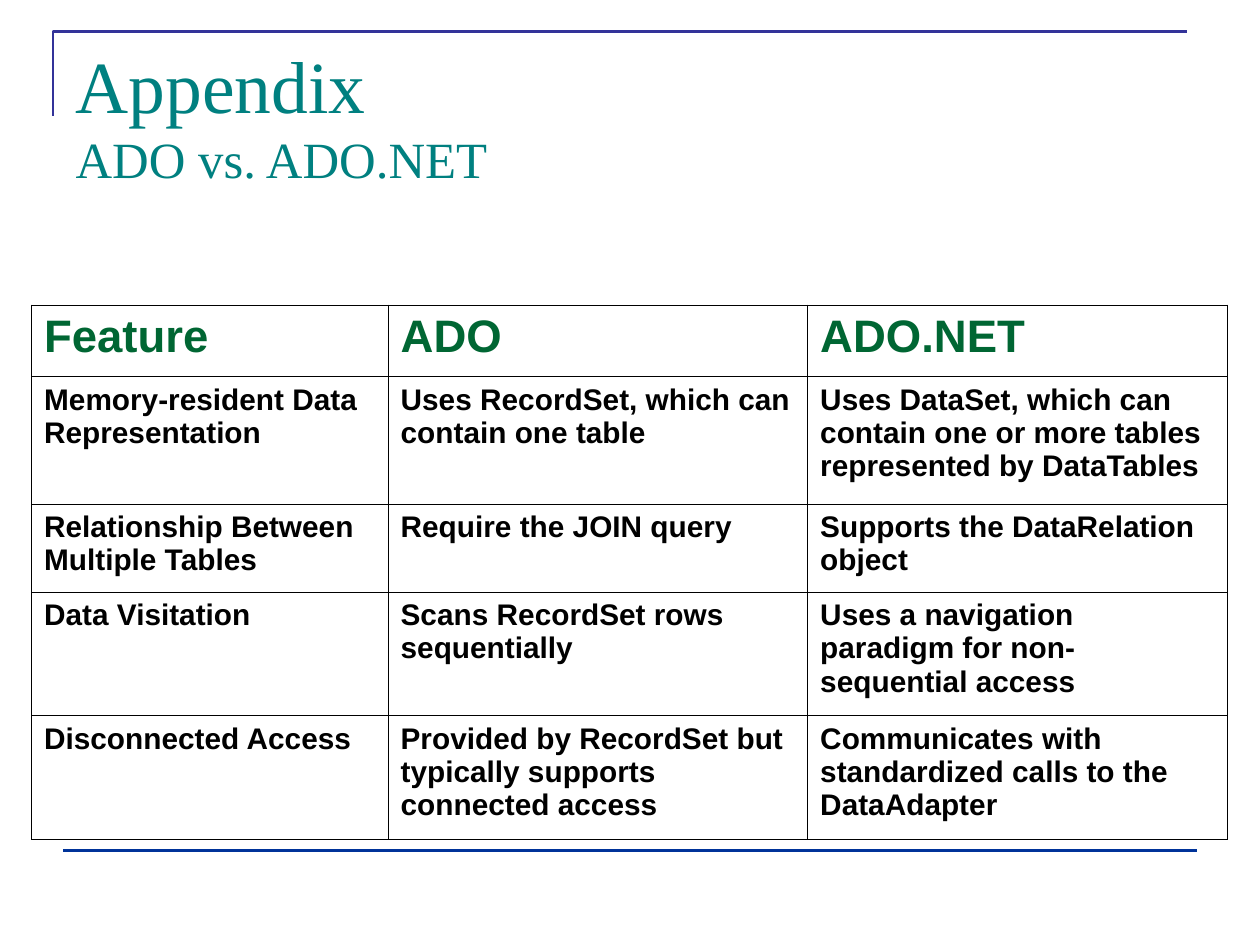
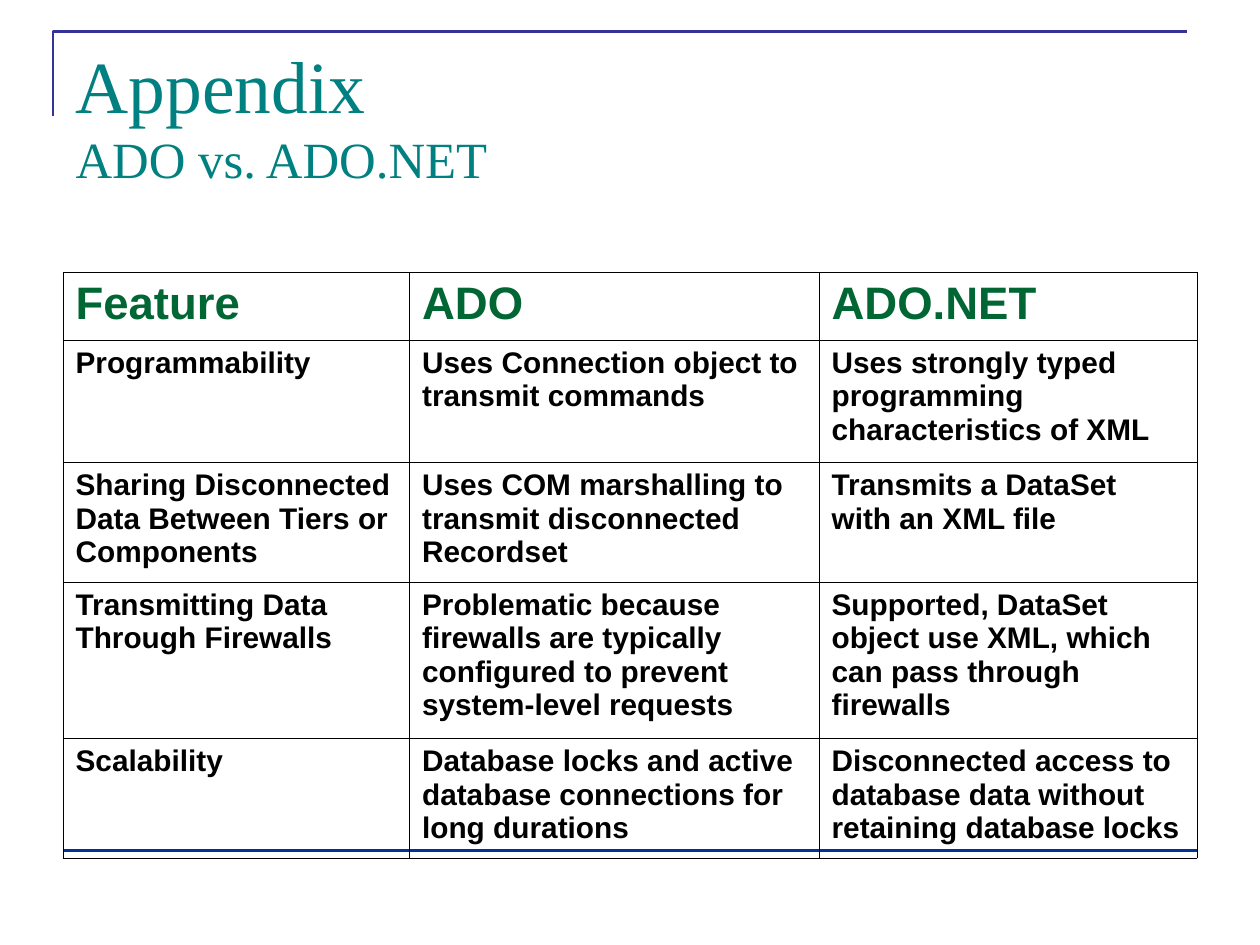
from lxml import etree
from pptx import Presentation
from pptx.dml.color import RGBColor
from pptx.enum.shapes import MSO_CONNECTOR
from pptx.enum.text import MSO_ANCHOR, MSO_AUTO_SIZE
from pptx.oxml.ns import qn
from pptx.util import Inches, Pt

STRAIGHT = MSO_CONNECTOR.STRAIGHT
TOP, BOTTOM = MSO_ANCHOR.TOP, MSO_ANCHOR.BOTTOM
NO_AUTOFIT = MSO_AUTO_SIZE.NONE

TITLE_FONT, TABLE_FONT = "Times New Roman", "Arial"
TEAL, GREEN, BLACK = "008080", "006633", "000000"
CORNER_BLUE, FOOTER_BLUE = "333399", "003399"

TITLE = [("Appendix", 42), ("ADO vs. ADO.NET", 29)]
TITLE_BOX = (0.5, 0.3, 9, 1.25)
HEADER = ("Feature", "ADO", "ADO.NET")

TABLES = [
    {
        "at": (0.25, 2.42),
        "cols": (2.83, 3.33, 3.33),
        "heights": (0.57, 1.01, 0.7, 0.98, 0.98),
        "rows": [
            ("Memory-resident Data Representation",
             "Uses RecordSet, which can contain one table",
             "Uses DataSet, which can contain one or more tables represented by DataTables"),
            ("Relationship Between Multiple Tables",
             "Require the JOIN query",
             "Supports the DataRelation object"),
            ("Data Visitation",
             "Scans RecordSet rows sequentially",
             "Uses a navigation paradigm for non-sequential access"),
            ("Disconnected Access",
             "Provided by RecordSet but typically supports connected access",
             "Communicates with standardized calls to the DataAdapter"),
        ],
    },
    {
        "at": (0.5, 2.16),
        "cols": (2.75, 3.25, 3),
        "heights": (0.54, 0.97, 0.95, 1.24, 0.95),
        "rows": [
            ("Programmability",
             "Uses Connection object to transmit commands",
             "Uses strongly typed programming characteristics of XML"),
            ("Sharing Disconnected Data Between Tiers or Components",
             "Uses COM marshalling to transmit disconnected Recordset",
             "Transmits a DataSet with an XML file"),
            ("Transmitting Data Through Firewalls",
             "Problematic because firewalls are typically configured to prevent system-level requests",
             "Supported, DataSet object use XML, which can pass through firewalls"),
            ("Scalability",
             "Database locks and active database connections for long durations",
             "Disconnected access to database data without retaining database locks"),
        ],
    },
]


def rgb(color):
    return RGBColor.from_string(color)


def style_line(line, color):
    line.color.rgb = rgb(color)
    line.width = Pt(1.5)


def place_title(layout):
    title = layout.placeholders[0]
    title.left, title.top, title.width, title.height = map(Inches, TITLE_BOX)


def add_frame_lines(s, layout):
    """Draw the corner and footer lines on s, then move them to its layout."""
    fb = s.shapes.build_freeform(Inches(0.42), Inches(0.92))
    fb.add_line_segments([(Inches(0.42), Inches(0.25)),
                          (Inches(9.42), Inches(0.25))], close=False)
    corner = fb.convert_to_shape()
    corner.shadow.inherit = False
    corner.fill.background()
    style_line(corner.line, CORNER_BLUE)

    footer = s.shapes.add_connector(STRAIGHT, Inches(0.5), Inches(6.75),
                                    Inches(9.5), Inches(6.75))
    style_line(footer.line, FOOTER_BLUE)
    etree.SubElement(footer._element.spPr, qn("a:effectLst"))

    for shape in (corner, footer):
        layout.shapes._spTree.append(shape._element)


def write_title(s):
    tf = s.shapes.title.text_frame
    tf.auto_size = NO_AUTOFIT
    tf.vertical_anchor = BOTTOM
    p = tf.paragraphs[0]
    p.alignment = 1
    p.font.size = Pt(TITLE[0][1])
    for i, (text, size) in enumerate(TITLE):
        if i:
            p.add_line_break()
        r = p.add_run()
        r.text = text
        r.font.name = TITLE_FONT
        r.font.size = Pt(size)
        r.font.color.rgb = rgb(TEAL)


def add_borders(cell):
    tc_pr = cell._tc.get_or_add_tcPr()
    for side in ("lnL", "lnR", "lnT", "lnB"):
        ln = etree.SubElement(tc_pr, qn(f"a:{side}"), w=str(Pt(0.45)))
        fill = etree.SubElement(ln, qn("a:solidFill"))
        etree.SubElement(fill, qn("a:srgbClr"), val=BLACK)


def write_cell(cell, text, size, color):
    add_borders(cell)
    cell.fill.background()
    cell.vertical_anchor = TOP
    p = cell.text_frame.paragraphs[0]
    p.text = text
    p.font.name = TABLE_FONT
    p.font.size = Pt(size)
    p.font.bold = True
    p.font.color.rgb = rgb(color)


def add_comparison(s, data):
    cols, heights = data["cols"], data["heights"]
    box = (*data["at"], sum(cols), sum(heights))
    table = s.shapes.add_table(len(heights), len(cols), *map(Inches, box)).table
    table.first_row = table.horz_banding = False
    for column, width in zip(table.columns, cols):
        column.width = Inches(width)
    for row, height, texts in zip(table.rows, heights, [HEADER, *data["rows"]]):
        row.height = Inches(height)
        size, color = (26, GREEN) if texts is HEADER else (17, BLACK)
        for cell, text in zip(row.cells, texts):
            write_cell(cell, text, size, color)


def main():
    prs = Presentation()
    prs.slide_width, prs.slide_height = Inches(10), Inches(7.5)
    layout = prs.slide_layouts.get_by_name("Title Only")
    place_title(layout)
    for i, data in enumerate(TABLES):
        s = prs.slides.add_slide(layout)
        if i == 0:
            add_frame_lines(s, layout)
        write_title(s)
        add_comparison(s, data)
    prs.save("out.pptx")


if __name__ == "__main__":
    main()
